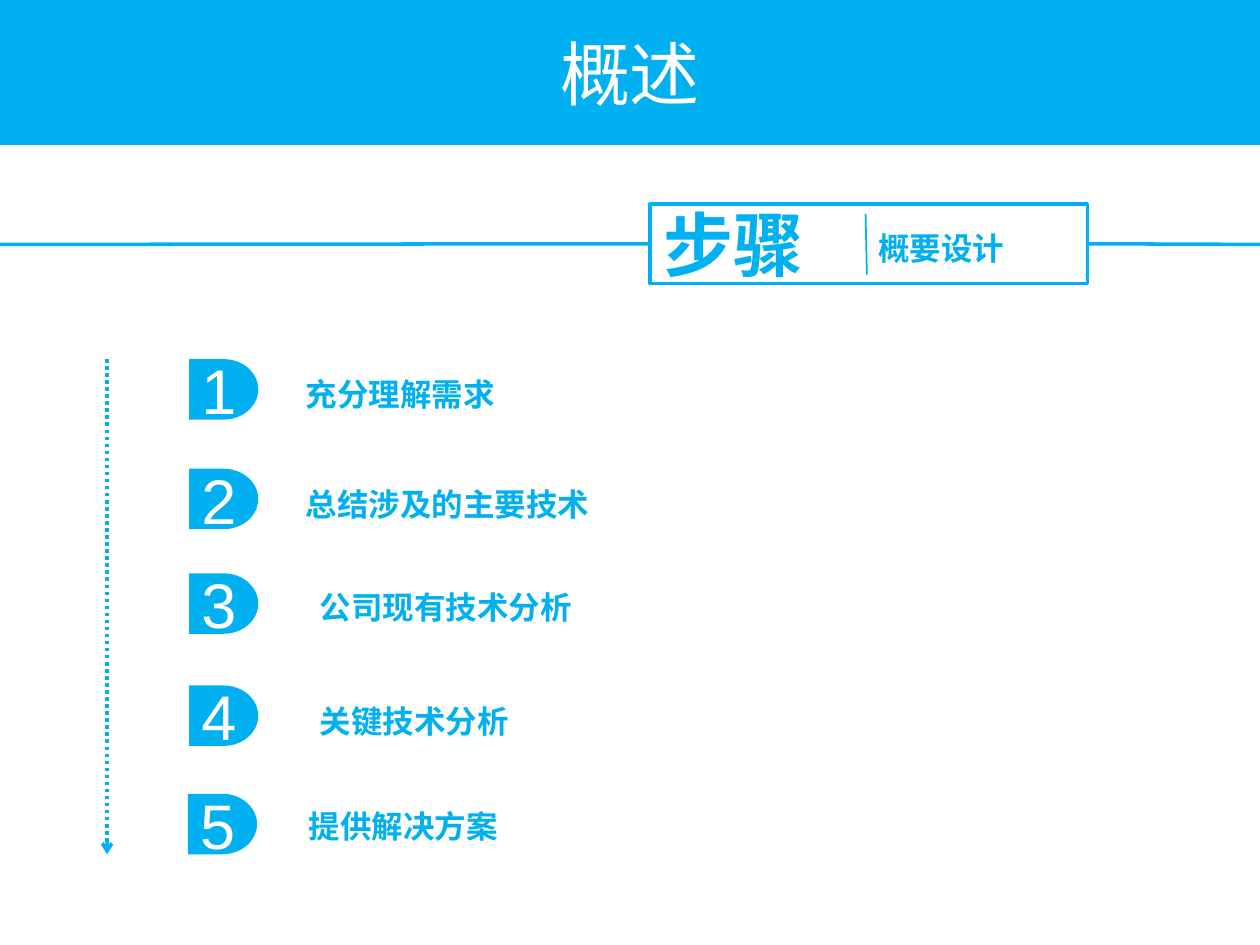
from dataclasses import dataclass

from lxml import etree
from pptx import Presentation
from pptx import util as u
from pptx.dml.color import RGBColor
from pptx.enum import dml, shapes, text
from pptx.oxml import ns


@dataclass(frozen=True)
class Theme:
    accent: RGBColor = RGBColor(0x00, 0xB0, 0xF0)
    light: RGBColor = RGBColor(0xFF, 0xFF, 0xFF)
    title_size: int = 40
    number_size: int = 36
    body_size: int = 18
    cjk_font: str = "Noto Sans CJK SC"
    number_font: str = "Arial"


THEME = Theme()

# Number, wording, badge left and top, label left, top and width, indent, wrap
STEPS = [
    ("1", "充分理解需求", 1.5, 2.85, 2.05, 2.93, 3.78, 0.28, True),
    ("2", "总结涉及的主要技术", 1.5, 3.72, 2.05, 3.8, 3.78, 0.28, True),
    ("3", "公司现有技术分析", 1.5, 4.55, 2.44, 4.62, 2.2, 0, False),
    ("4", "关键技术分析", 1.5, 5.44, 2.44, 5.52, 1.7, 0, False),
    ("5", "提供解决方案", 1.49, 6.3, 2.07, 6.36, 3.78, 0.28, True),
]


def inches(*lengths):
    return [u.Inches(length) for length in lengths]


def write(shape, words, size, color, font_name, bold=False):
    paragraph = shape.text_frame.paragraphs[0]
    paragraph.text = words
    run = paragraph.runs[0]
    font = run.font
    font.size = u.Pt(size)
    font.bold = bold
    font.color.rgb = color
    font.name = font_name
    # East Asian glyphs take their own font setting
    east_asian = etree.SubElement(run._r.get_or_add_rPr(), ns.qn("a:ea"))
    east_asian.set("typeface", font_name)
    return paragraph


def add_filled(slide, kind, box, words, size, font_name):
    shape = slide.shapes.add_shape(kind, *inches(*box))
    shape.shadow.inherit = False
    shape.fill.solid()
    shape.fill.fore_color.rgb = THEME.accent
    shape.line.fill.background()
    shape.text_frame.vertical_anchor = text.MSO_ANCHOR.MIDDLE
    paragraph = write(shape, words, size, THEME.light, font_name)
    paragraph.alignment = text.PP_ALIGN.CENTER


def add_frame(slide, box):
    frame = slide.shapes.add_shape(shapes.MSO_SHAPE.RECTANGLE, *inches(*box))
    frame.shadow.inherit = False
    frame.fill.background()
    frame.line.color.rgb = THEME.accent
    frame.line.width = u.Pt(2)
    return frame


def add_label(slide, box, words, size, indent=0, wrap=True):
    label = slide.shapes.add_textbox(*inches(*box))
    label.text_frame.word_wrap = wrap
    label.text_frame.auto_size = text.MSO_AUTO_SIZE.SHAPE_TO_FIT_TEXT
    paragraph = write(label, words, size, THEME.accent, THEME.cjk_font, bold=True)
    if indent:
        paragraph._p.get_or_add_pPr().set("marL", str(u.Inches(indent)))


def add_line(slide, start, end, width=2):
    line = slide.shapes.add_connector(
        shapes.MSO_CONNECTOR.STRAIGHT, *inches(*start, *end))
    line.line.color.rgb = THEME.accent
    line.line.width = u.Pt(width)
    etree.SubElement(line._element.spPr, ns.qn("a:effectLst"))
    return line


def add_dotted_arrow(slide, start, end):
    arrow = add_line(slide, start, end)
    arrow.line.dash_style = dml.MSO_LINE.ROUND_DOT
    tail = etree.SubElement(arrow.line._get_or_add_ln(), ns.qn("a:tailEnd"))
    tail.set("type", "arrow")


def main():
    presentation = Presentation()
    presentation.slide_width, presentation.slide_height = inches(10, 7.5)
    slide = presentation.slides.add_slide(presentation.slide_layouts[6])

    # Title band
    add_filled(slide, shapes.MSO_SHAPE.RECTANGLE, (0, 0, 10, 1.15),
               "概述", THEME.title_size, THEME.cjk_font)

    # Section heading, framed on a horizontal rule
    frame = add_frame(slide, (5.16, 1.62, 3.47, 0.63))
    add_line(slide, (0, 1.94), (5.16, 1.94)).end_connect(frame, 1)
    add_line(slide, (8.63, 1.94), (10, 1.94)).begin_connect(frame, 3)
    add_line(slide, (6.87, 1.7), (6.88, 2.18), width=1)
    add_label(slide, (5.17, 1.55, 1.72, 0.77), "步骤", THEME.title_size)
    add_label(slide, (6.87, 1.77, 1.75, 0.4), "概要设计", THEME.body_size)

    # Numbered steps beside the direction arrow
    add_dotted_arrow(slide, (0.85, 2.85), (0.85, 6.78))
    for number, words, badge_left, badge_top, left, top, width, indent, wrap in STEPS:
        add_filled(slide, shapes.MSO_SHAPE.FLOWCHART_DELAY,
                   (badge_left, badge_top, 0.55, 0.48),
                   number, THEME.number_size, THEME.number_font)
        add_label(slide, (left, top, width, 0.4), words, THEME.body_size,
                  indent, wrap)

    presentation.save("out.pptx")


if __name__ == "__main__":
    main()
